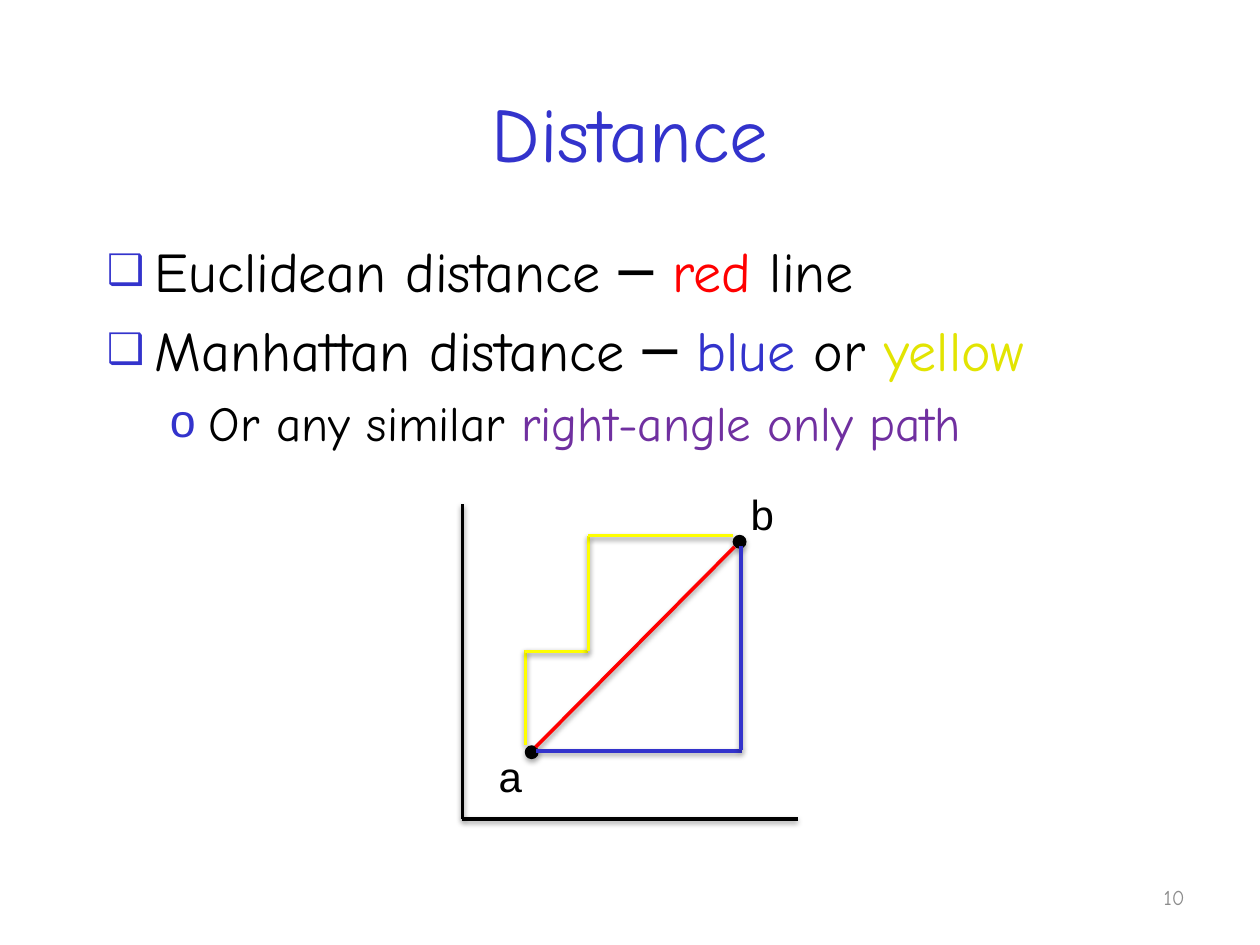
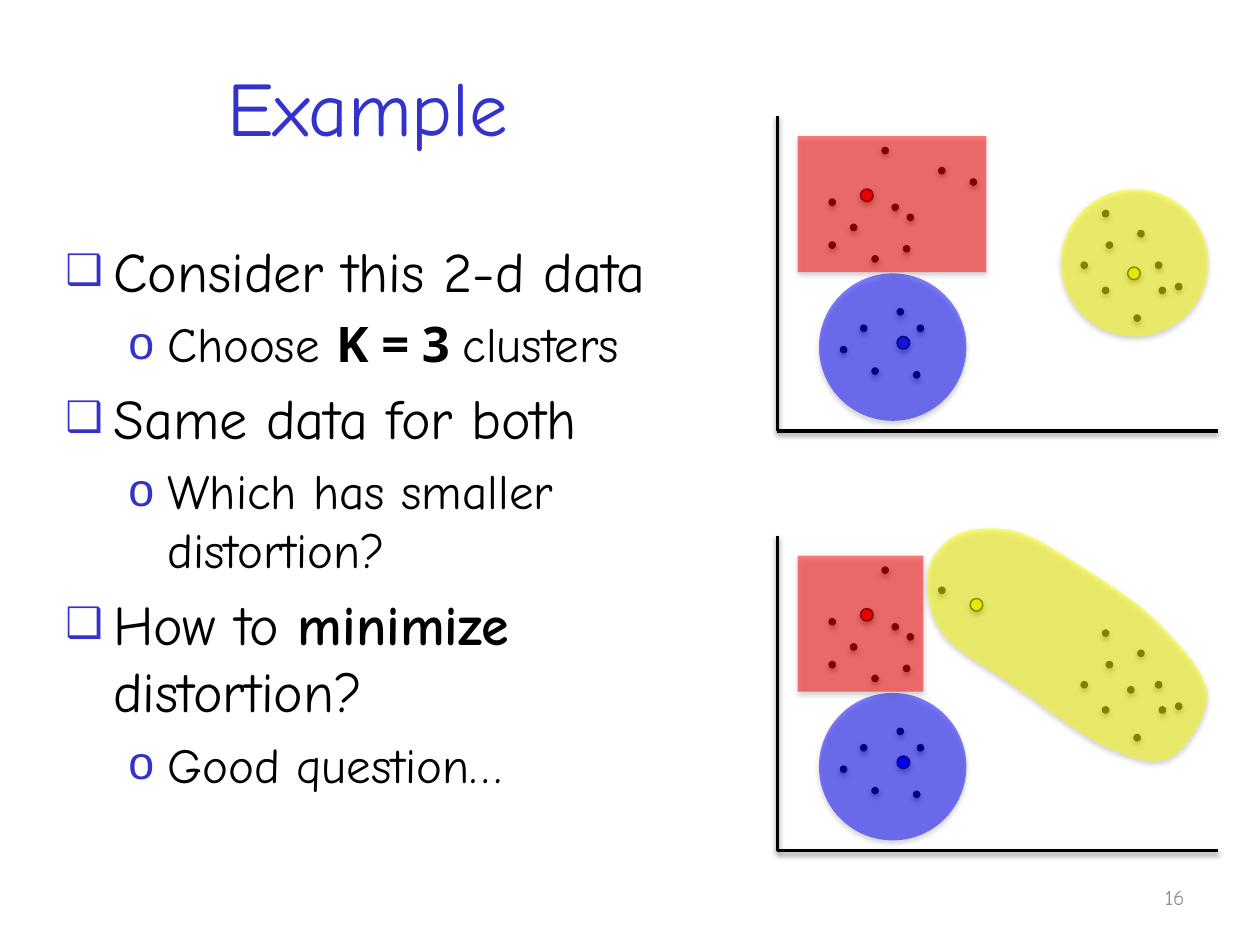
import lxml.etree
import pptx
import pptx.dml.color
import pptx.enum.shapes
import pptx.enum.text
import pptx.oxml.ns
import pptx.util

Inches = pptx.util.Inches
qn = pptx.oxml.ns.qn
SHAPE = pptx.enum.shapes.MSO_SHAPE
ALIGN = pptx.enum.text.PP_ALIGN
MIDDLE = pptx.enum.text.MSO_ANCHOR.MIDDLE

COLORS = {
    "black": "000000", "accent": "3333CC", "red": "FF0000", "blue": "0000FF",
    "yellow": "FFFF00", "yellow_text": "E2E402", "purple": "7030A0", "number": "8C8C8C",
}
LEVELS = [
    {"size": 32, "margin": 0.38, "indent": -0.38, "bullet": "❑", "bullet_size": 75},
    {"size": 28, "margin": 0.81, "indent": -0.31, "bullet": "o", "bullet_size": 95},
]


def add_text(paragraph, text, size=32, color="black", font="Comic Neue", bold=False):
    run = paragraph.add_run()
    run.text = text
    run.font.size = pptx.util.Pt(size)
    run.font.name = font
    run.font.bold = bold
    run.font.color.rgb = pptx.dml.color.RGBColor.from_string(COLORS[color])


def style(shape, fill=None, line=None, width=0.75, opacity=100, shadow=(35, 1.8)):
    if fill:
        shape.fill.solid()
        shape.fill.fore_color.rgb = pptx.dml.color.RGBColor.from_string(COLORS[fill])
        if opacity < 100:
            color = shape.fill._xPr.find(qn("a:solidFill"))[0]
            lxml.etree.SubElement(color, qn("a:alpha"), val=str(opacity * 1000))
    if line:
        shape.line.color.rgb = pptx.dml.color.RGBColor.from_string(COLORS[line])
        shape.line.width = pptx.util.Pt(width)
    else:
        shape.line.fill.background()
    shadow_opacity, distance = shadow
    properties = shape._element.spPr
    for old_effects in properties.findall(qn("a:effectLst")):
        properties.remove(old_effects)
    effects = lxml.etree.SubElement(properties, qn("a:effectLst"))
    outer = lxml.etree.SubElement(
        effects, qn("a:outerShdw"), blurRad=str(pptx.util.Pt(3.1)),
        dist=str(pptx.util.Pt(distance)), dir="5400000", rotWithShape="0")
    color = lxml.etree.SubElement(outer, qn("a:srgbClr"), val=COLORS["black"])
    lxml.etree.SubElement(color, qn("a:alpha"), val=str(shadow_opacity * 1000))


presentation = pptx.Presentation()
presentation.slide_width = Inches(10)
presentation.slide_height = Inches(7.5)

contents = [
    {
        "title": "Distance", "title_box": (0.75, 0.42, 8.5, 1.25),
        "body_box": (0.75, 1.83, 8.58, 1.83), "number": "10",
        "body": [
            (0, [("Euclidean distance ─ ", {}), ("red", {"color": "red"}), (" line", {})]),
            (0, [("Manhattan distance ─ ", {}), ("blue", {"color": "accent"}), (" or ", {}),
                 ("yellow", {"color": "yellow_text"})]),
            (1, [("Or any similar ", {}), ("right-angle only path", {"color": "purple"})]),
        ],
        "axes": [((3.67, 4), (3.67, 6.5)), ((3.67, 6.5), (6.33, 6.5))],
    },
    {
        "title": "Example", "title_box": (0.17, 0.25, 5.5, 1.17),
        "body_box": (0.42, 1.83, 5.42, 4.92), "number": "16",
        "body": [
            (0, [("Consider this 2-d data", {})]),
            (1, [("Choose ", {}), ("K = 3 ", {"font": "Open Sans", "bold": True}),
                 ("clusters", {})]),
            (0, [("Same data for both", {})]),
            (1, [("Which has smaller distortion?", {})]),
            (0, [("How to ", {}), ("minimize", {"bold": True}), (" distortion?", {})]),
            (1, [("Good question…", {})]),
        ],
        "axes": [((6.17, 0.92), (6.17, 3.42)), ((6.17, 3.42), (9.67, 3.42)),
                 ((6.17, 4.25), (6.17, 6.75)), ((6.17, 6.75), (9.67, 6.75))],
    },
]

for content in contents:
    slide = presentation.slides.add_slide(presentation.slide_layouts[5])
    title = slide.shapes.title
    title.left, title.top, title.width, title.height = map(Inches, content["title_box"])
    title.text_frame.vertical_anchor = MIDDLE
    paragraph = title.text_frame.paragraphs[0]
    paragraph.alignment = ALIGN.CENTER
    add_text(paragraph, content["title"], size=44, color="accent")

    body = slide.shapes.add_textbox(*map(Inches, content["body_box"])).text_frame
    body.word_wrap = True
    for index, (level_index, runs) in enumerate(content["body"]):
        level = LEVELS[level_index]
        paragraph = body.add_paragraph() if index else body.paragraphs[0]
        paragraph.level = level_index
        properties = paragraph._p.get_or_add_pPr()
        properties.set("marL", str(Inches(level["margin"])))
        properties.set("indent", str(Inches(level["indent"])))
        bullet_color = lxml.etree.SubElement(properties, qn("a:buClr"))
        lxml.etree.SubElement(bullet_color, qn("a:srgbClr"), val=COLORS["accent"])
        lxml.etree.SubElement(properties, qn("a:buSzPct"), val=str(level["bullet_size"] * 1000))
        lxml.etree.SubElement(properties, qn("a:buFont"), typeface="Arial")
        lxml.etree.SubElement(properties, qn("a:buChar"), char=level["bullet"])
        if index:
            paragraph.space_before = pptx.util.Pt(0.2 * level["size"])
        for text, text_format in runs:
            add_text(paragraph, text, size=level["size"], **text_format)

    number = slide.shapes.add_textbox(*map(Inches, (7.17, 6.92, 2.33, 0.4))).text_frame
    number.word_wrap = True
    number.vertical_anchor = MIDDLE
    number.paragraphs[0].alignment = ALIGN.RIGHT
    add_text(number.paragraphs[0], content["number"], size=12, color="number")

distance_slide, example_slide = presentation.slides

for left, top in [(4.17, 5.92), (5.82, 4.25)]:
    endpoint = distance_slide.shapes.add_shape(
        SHAPE.OVAL, *map(Inches, (left, top, 0.1, 0.1)))
    style(endpoint, fill="black", line="black")

distance_paths = [
    ("red", (4.25, 5.93), (5.83, 4.34)),
    ("accent", (4.25, 5.96), (5.89, 5.96)),
    ("accent", (5.88, 4.33), (5.88, 5.95)),
    ("yellow", (4.17, 5.16), (4.17, 5.91)),
    ("yellow", (4.17, 5.17), (4.67, 5.17)),
    ("yellow", (4.67, 5.17), (4.67, 4.25)),
    ("yellow", (4.67, 4.25), (5.82, 4.25)),
]
lines = [(distance_slide, *segment) for segment in distance_paths]
for slide, content in zip(presentation.slides, contents):
    lines += [(slide, "black", *axis) for axis in content["axes"]]
for slide, color, start, end in lines:
    connector = slide.shapes.add_connector(
        pptx.enum.shapes.MSO_CONNECTOR.STRAIGHT, *map(Inches, start + end))
    style(connector, line=color, width=2, shadow=(38, 1.6))

for label, left, top in [("a", 3.86, 5.91), ("b", 5.86, 3.83)]:
    frame = distance_slide.shapes.add_textbox(*map(Inches, (left, top, 0.39, 0.5))).text_frame
    frame.word_wrap = False
    frame.auto_size = pptx.enum.text.MSO_AUTO_SIZE.SHAPE_TO_FIT_TEXT
    add_text(frame.paragraphs[0], label, size=24, font="Arial")

data_points = [
    (6.58, 1.58), (6.75, 1.78), (7.17, 1.95), (7.2, 1.7), (7.45, 1.33), (7, 1.17),
    (7.08, 1.62), (6.92, 2.03), (6.58, 1.92),
    (7.12, 2.45), (6.83, 2.58), (7.28, 2.58), (7.25, 2.95), (6.92, 2.92), (6.67, 2.75),
    (8.78, 1.92), (8.75, 2.28), (8.58, 2.08), (8.75, 1.67), (9.03, 1.83), (9.2, 2.28),
    (9, 2.5), (9.17, 2.08), (9.33, 2.25),
]
clusterings = [
    {
        "offset": 0, "extra_point": (7.7, 1.42),
        "centroids": [("red", 6.83, 1.5), ("accent", 7.12, 2.67), ("yellow", 8.95, 2.12)],
        "regions": [(SHAPE.OVAL, "yellow", 8.42, 1.5, 1.17, 1.17),
                    (SHAPE.OVAL, "blue", 6.5, 2.17, 1.17, 1.17),
                    (SHAPE.RECTANGLE, "red", 6.33, 1.08, 1.5, 1.08)],
    },
    {
        "offset": 3.33, "extra_point": (8.95, 2.12),
        "centroids": [("red", 6.83, 1.5), ("blue", 7.12, 2.67), ("yellow", 7.7, 1.42)],
        "regions": [(SHAPE.OVAL, "blue", 6.5, 2.17, 1.17, 1.17),
                    (SHAPE.RECTANGLE, "red", 6.33, 1.08, 1, 1.08)],
    },
]
for clustering in clusterings:
    offset = clustering["offset"]
    dots = [("black", *point, 0.05) for point in data_points + [clustering["extra_point"]]]
    dots += [(*centroid, 0.1) for centroid in clustering["centroids"]]
    for color, left, top, size in dots:
        dot = example_slide.shapes.add_shape(
            SHAPE.OVAL, *map(Inches, (left, top + offset, size, size)))
        style(dot, fill=color, line="black")
    for kind, color, left, top, width, height in clustering["regions"]:
        region = example_slide.shapes.add_shape(
            kind, *map(Inches, (left, top + offset, width, height)))
        style(region, fill=color, opacity=50)

outline_start = (7.56, 4.26)
outline_curves = [
    ((7.46, 4.33), (7.37, 4.44), (7.36, 4.57)),
    ((7.35, 4.7), (7.37, 4.89), (7.49, 5.04)),
    ((7.61, 5.19), (7.86, 5.31), (8.07, 5.46)),
    ((8.29, 5.61), (8.58, 5.84), (8.78, 5.93)),
    ((8.99, 6.02), (9.15, 6.08), (9.29, 6.01)),
    ((9.42, 5.94), (9.6, 5.67), (9.58, 5.49)),
    ((9.55, 5.31), (9.35, 5.1), (9.16, 4.91)),
    ((8.96, 4.72), (8.59, 4.5), (8.4, 4.38)),
    ((8.2, 4.26), (8.12, 4.22), (7.98, 4.2)),
    ((7.83, 4.18), (7.66, 4.2), (7.56, 4.26)),
]
steps = 12
outline = []
curve_start = outline_start
for control_1, control_2, curve_end in outline_curves:
    for step in range(1, steps + 1):
        t = step / steps
        outline.append([
            Inches((1 - t) ** 3 * p0 + 3 * (1 - t) ** 2 * t * p1 + 3 * (1 - t) * t ** 2 * p2 + t ** 3 * p3)
            for p0, p1, p2, p3 in zip(curve_start, control_1, control_2, curve_end)])
    curve_start = curve_end
builder = example_slide.shapes.build_freeform(*map(Inches, outline_start))
builder.add_line_segments(outline, close=True)
style(builder.convert_to_shape(), fill="yellow", opacity=50)

presentation.save("out.pptx")
